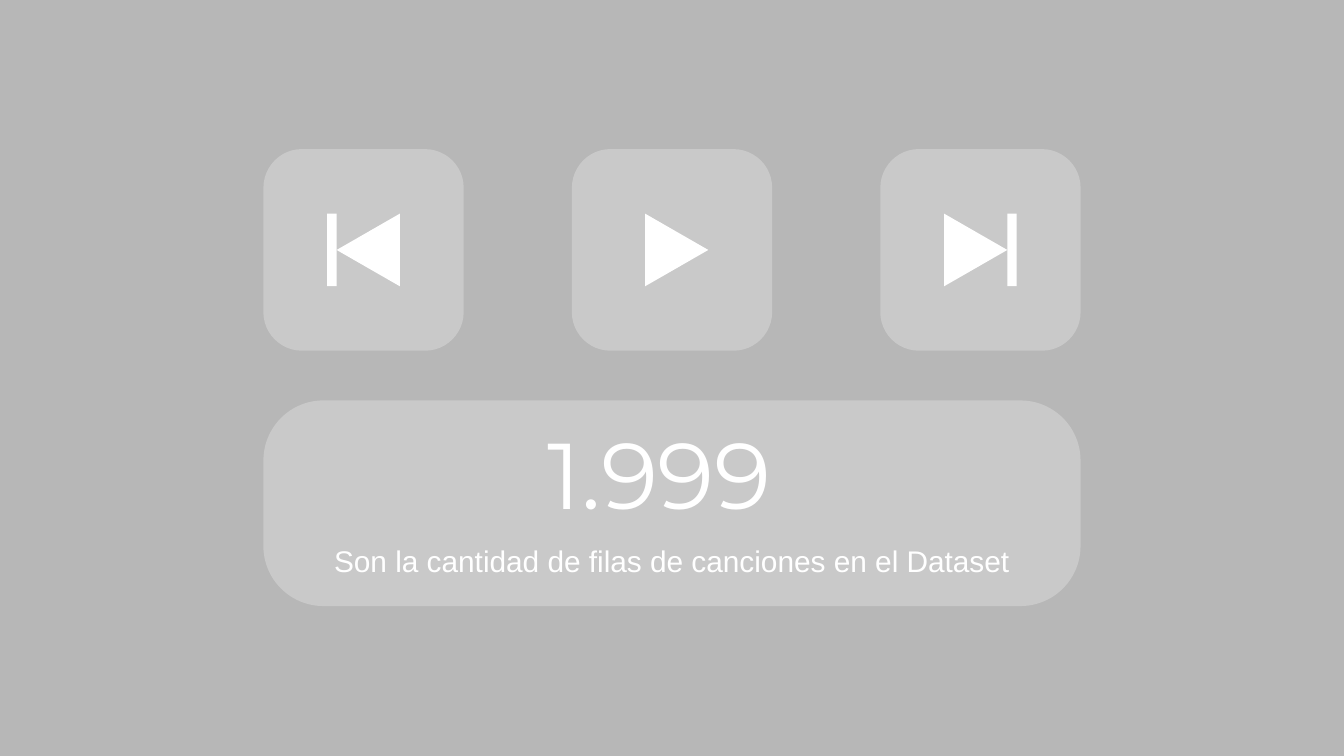
from dataclasses import dataclass

from lxml.etree import SubElement
from pptx import Presentation
from pptx.dml.color import RGBColor
from pptx.enum.shapes import MSO_SHAPE
from pptx.enum.text import MSO_ANCHOR, MSO_AUTO_SIZE, PP_ALIGN
from pptx.oxml.ns import qn
from pptx.util import Inches, Pt


@dataclass(frozen=True)
class Theme:
    """Colours, fonts and type sizes of the slide."""
    background: RGBColor = RGBColor(0xB7, 0xB7, 0xB7)
    foreground: RGBColor = RGBColor(0xFF, 0xFF, 0xFF)
    panel_alpha: int = 26
    number_font: str = "Montserrat"
    number_size: int = 50
    caption_font: str = "Arial"
    caption_size: int = 16


THEME = Theme()


def add_solid(shapes, kind, x, y, w, h):
    """Add a plain shape in the foreground colour."""
    sp = shapes.add_shape(kind, Inches(x), Inches(y), Inches(w), Inches(h))
    sp.shadow.inherit = False
    sp.fill.solid()
    sp.fill.fore_color.rgb = THEME.foreground
    sp.line.fill.background()
    return sp


def add_panel(shapes, x, y, w, h, rounding):
    """Add a translucent rounded panel."""
    sp = add_solid(shapes, MSO_SHAPE.ROUNDED_RECTANGLE, x, y, w, h)
    sp.adjustments[0] = rounding
    color = sp.element.spPr.find(qn("a:solidFill")).find(qn("a:srgbClr"))
    SubElement(color, qn("a:alpha")).set("val", str(THEME.panel_alpha * 1000))


def set_text(sp, text, font, size, x, y, w, h):
    """Place a text shape and fill it with one centred line."""
    sp.left, sp.top, sp.width, sp.height = map(Inches, (x, y, w, h))
    tf = sp.text_frame
    tf.text = text
    tf.word_wrap = True
    tf.auto_size = MSO_AUTO_SIZE.NONE
    tf.vertical_anchor = MSO_ANCHOR.MIDDLE
    tf.margin_left = tf.margin_right = tf.margin_top = tf.margin_bottom = Inches(0.1)
    p = tf.paragraphs[0]
    p.alignment = PP_ALIGN.CENTER
    r = p.runs[0]
    r.font.name = font
    r.font.size = Pt(size)
    r.font.color.rgb = THEME.foreground


def add_button(s, x, y, w, h, direction):
    """Add a player button: -1 is previous, 0 is play and 1 is next."""
    add_panel(s.shapes, x, y, w, h, 0.193)
    cx, cy = x + w / 2, y + h / 2
    side, depth, bar = 0.54, 0.47, 0.07
    icon = s.shapes.add_group_shape().shapes if direction else s.shapes
    offset = -direction * bar / 2 if direction else bar / 2
    triangle = add_solid(icon, MSO_SHAPE.ISOSCELES_TRIANGLE,
                         cx + offset - side / 2, cy - depth / 2, side, depth)
    triangle.rotation = 270 if direction < 0 else 90
    if direction:
        add_solid(icon, MSO_SHAPE.RECTANGLE,
                  cx + direction * depth / 2 - bar / 2, cy - side / 2, bar, side)


def add_count_panel(s, x, y, w, h):
    """Add the panel with the row count and its caption."""
    add_panel(s.shapes, x, y, w, h, 0.292)
    inset = 0.31
    text_w = w - 2 * inset
    title = s.shapes.title
    title.element.getparent().append(title.element)
    set_text(title, "1.999 ", THEME.number_font, THEME.number_size,
             x + inset, y - 0.04, text_w, 1.14)
    caption = s.shapes.add_textbox(0, 0, 0, 0)
    set_text(caption, "Son la cantidad de filas de canciones en el Dataset",
             THEME.caption_font, THEME.caption_size,
             x + inset, y + 0.95, text_w, 0.48)


def main():
    """Build and save the slide."""
    prs = Presentation()
    prs.slide_width = Inches(10)
    prs.slide_height = Inches(10 * 9 / 16)
    s = prs.slides.add_slide(prs.slide_layouts.get_by_name("Title Only"))
    s.background.fill.solid()
    s.background.fill.fore_color.rgb = THEME.background

    left, width, button_w = 1.96, 6.08, 1.49
    add_count_panel(s, left, 2.98, width, 1.53)
    step = (width - button_w) / 2
    for i, direction in enumerate((-1, 0, 1)):
        add_button(s, left + i * step, 1.11, button_w, 1.5, direction)
    prs.save("out.pptx")


if __name__ == "__main__":
    main()
